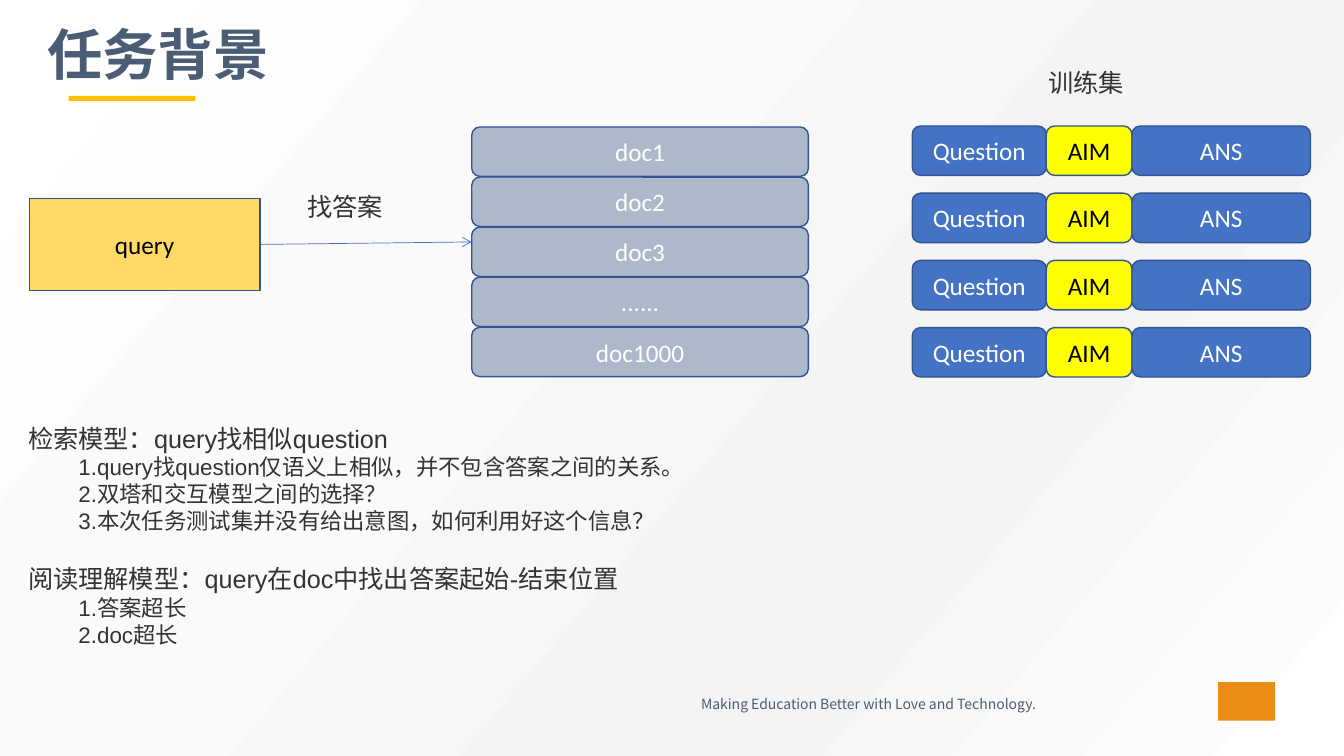
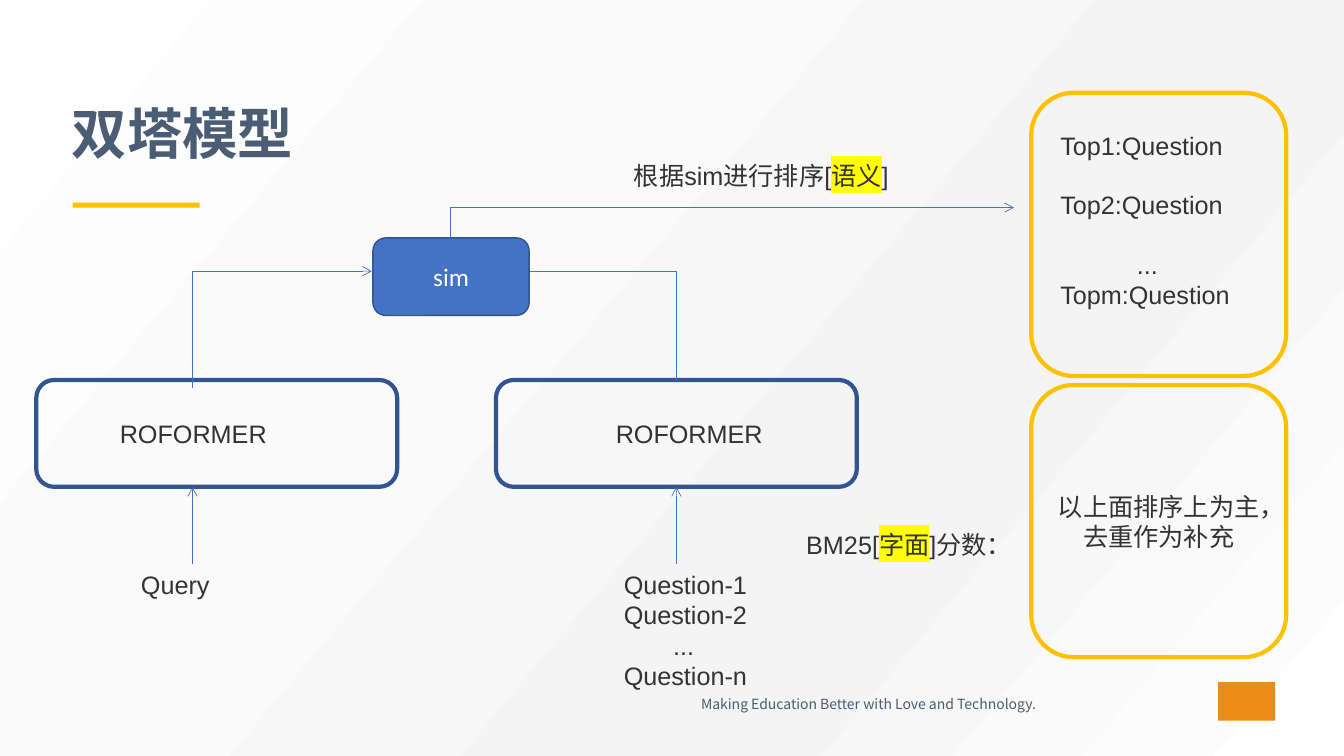
import dataclasses

import lxml.etree
import pptx
import pptx.dml.color
import pptx.enum.dml
import pptx.enum.shapes
import pptx.enum.text
import pptx.oxml.ns
import pptx.util

RGB = pptx.dml.color.RGBColor
SHAPE = pptx.enum.shapes.MSO_SHAPE
CONNECTOR = pptx.enum.shapes.MSO_CONNECTOR
ALIGN = pptx.enum.text.PP_ALIGN
ANCHOR = pptx.enum.text.MSO_ANCHOR
qn = pptx.oxml.ns.qn

SLATE = RGB(0x4B, 0x5D, 0x75)
INK = RGB(0x33, 0x33, 0x33)
BLACK = RGB(0x00, 0x00, 0x00)
WHITE = RGB(0xFF, 0xFF, 0xFF)
BLUE = RGB(0x44, 0x72, 0xC4)
NAVY = RGB(0x32, 0x54, 0x91)
STEEL = RGB(0xAD, 0xB9, 0xCA)
YELLOW = RGB(0xFF, 0xFF, 0x00)
SAND = RGB(0xFF, 0xD9, 0x66)
GOLD = RGB(0xFF, 0xC0, 0x00)
ORANGE = RGB(0xED, 0x8C, 0x14)
BACKDROP = ((0, "FFFFFF"), (32, "FAFAFA"), (67, "F4F4F4"), (100, "FFFFFF"))

BODY_FONT = "Arial"
BOX_FONT = "Calibri"
CJK_FONT = "Noto Sans CJK SC"
COLUMNS, ROWS = 40, 22.5
LABEL_H = 1.2


@dataclasses.dataclass
class Line:
    """One paragraph; text between bars is highlighted, indent is in columns."""
    text: str
    size: float = 18
    indent: float = 0
    before: float = 0


class Deck:
    """Holds the style and the current slide; lengths are grid columns and rows."""

    def __init__(self):
        self.prs = pptx.Presentation()
        self.prs.slide_width = pptx.util.Inches(13.33)
        self.prs.slide_height = pptx.util.Inches(7.5)
        self.layout = self.prs.slide_layouts[5]
        self.slide = None
        self.paint_backdrop()

    def paint_backdrop(self):
        background = self.prs.slide_master.background
        background.fill.gradient()
        background.fill.gradient_angle = 320
        stops = next(self.prs.slide_master.element.iter(qn("a:gsLst")))
        for gs in list(stops):
            stops.remove(gs)
        for percent, color in BACKDROP:
            gs = lxml.etree.SubElement(stops, qn("a:gs"), pos=str(percent * 1000))
            lxml.etree.SubElement(gs, qn("a:srgbClr"), val=color)

    def x(self, columns):
        return int(self.prs.slide_width * columns / COLUMNS)

    def y(self, rows):
        return int(self.prs.slide_height * rows / ROWS)

    def area(self, left, top, width, height):
        return self.x(left), self.y(top), self.x(width), self.y(height)

    def new_slide(self, title, title_at, bar_at):
        first = self.slide is None
        self.slide = self.prs.slides.add_slide(self.layout)
        if first:
            self.add_footer_to_layout()
        sp = self.slide.shapes.title
        sp.left, sp.top, sp.width, sp.height = self.area(*title_at, 35.9, 2.58)
        tf = sp.text_frame
        tf.auto_size = pptx.enum.text.MSO_AUTO_SIZE.NONE
        tf.vertical_anchor = ANCHOR.MIDDLE
        self.set_lines(tf, [Line(title, 39.6)], SLATE, CJK_FONT, bold=True)
        tf.paragraphs[0].line_spacing = 0.9
        self.box(*bar_at, 3.78, 0.15, fill=GOLD, kind=SHAPE.RECTANGLE)

    def add_footer_to_layout(self):
        block = self.box(36.25, 20.3, 1.7, 1.15, fill=ORANGE, kind=SHAPE.RECTANGLE)
        motto = self.text(13.75, 20.55, 17.37, 0.8,
                          Line("Making Education Better with Love and Technology.", 10),
                          color=SLATE, font=CJK_FONT, align=ALIGN.RIGHT)
        for sp in (block, motto):
            self.layout.shapes.element.append(sp.element)

    def set_lines(self, tf, lines, color, font, align=ALIGN.LEFT, bold=False):
        for i, line in enumerate(lines):
            p = tf.add_paragraph() if i else tf.paragraphs[0]
            p.alignment = align
            p.space_before = pptx.util.Pt(line.before)
            if line.indent:
                pPr = p._p.get_or_add_pPr()
                pPr.set("marL", str(self.x(line.indent)))
                pPr.set("indent", "0")
            for j, piece in enumerate(line.text.split("|")):
                r = p.add_run()
                r.text = piece
                r.font.size = pptx.util.Pt(line.size)
                r.font.bold = bold
                r.font.color.rgb = color
                r.font.name = font
                latin = r._r.rPr.find(qn("a:latin"))
                latin.addnext(lxml.etree.Element(qn("a:ea"), typeface=CJK_FONT))
                if j % 2:
                    mark = lxml.etree.Element(qn("a:highlight"))
                    lxml.etree.SubElement(mark, qn("a:srgbClr"), val=str(YELLOW))
                    latin.addprevious(mark)

    def text(self, left, top, width, height, *lines, color=INK, font=BODY_FONT,
             align=ALIGN.LEFT):
        sp = self.slide.shapes.add_textbox(*self.area(left, top, width, height))
        sp.text_frame.word_wrap = True
        self.set_lines(sp.text_frame, lines, color, font, align)
        return sp

    def box(self, left, top, width, height, label=None, fill=None, line=None,
            weight=1, color=WHITE, font=BOX_FONT, kind=SHAPE.ROUNDED_RECTANGLE):
        sp = self.slide.shapes.add_shape(kind, *self.area(left, top, width, height))
        sp.shadow.inherit = False
        if fill is None:
            sp.fill.background()
        else:
            sp.fill.solid()
            sp.fill.fore_color.rgb = fill
        if line is None:
            sp.line.fill.background()
        else:
            sp.line.color.rgb = line
            sp.line.width = pptx.util.Pt(weight)
        if label:
            tf = sp.text_frame
            tf.word_wrap = True
            tf.vertical_anchor = ANCHOR.MIDDLE
            self.set_lines(tf, [Line(label)], color, font, ALIGN.CENTER)
        return sp

    def connector(self, kind, start, end, arrow):
        """arrow is tailEnd for the end point or headEnd for the start point."""
        cxn = self.slide.shapes.add_connector(
            kind, self.x(start[0]), self.y(start[1]), self.x(end[0]), self.y(end[1]))
        cxn.line.color.rgb = BLUE
        cxn.line.width = pptx.util.Pt(0.5)
        spPr = cxn.element.spPr
        lxml.etree.SubElement(spPr.find(qn("a:ln")), qn("a:" + arrow), type="arrow")
        lxml.etree.SubElement(spPr, qn("a:effectLst"))
        return cxn

    def arrow(self, start, end):
        return self.connector(CONNECTOR.STRAIGHT, start, end, "tailEnd")

    def elbow(self, tip, foot):
        """One-bend arrow: level from its tip, then down to its foot."""
        cxn = self.connector(CONNECTOR.ELBOW, tip, foot, "headEnd")
        cxn.element.spPr.find(qn("a:prstGeom")).set("prst", "bentConnector2")
        return cxn


def build_background_slide(deck):
    deck.new_slide("任务背景", (1.1, 0.42), (2.04, 2.85))
    fields = (("Question", 27.15, 3.99, BLUE, WHITE),
              ("AIM", 31.14, 2.55, YELLOW, BLACK),
              ("ANS", 33.69, 5.31, BLUE, WHITE))
    for row in range(4):
        for label, left, width, fill, color in fields:
            deck.box(left, 3.75 + 2 * row, width, 1.47, label, fill, NAVY, color=color)
    for row, label in enumerate(("doc1", "doc2", "doc3", "......", "doc1000")):
        deck.box(14.04, 3.78 + 1.49 * row, 10.02, 1.47, label, STEEL, NAVY)
    query = deck.box(0.87, 5.91, 6.87, 2.73, "query", SAND, NAVY, color=BLACK,
                     kind=SHAPE.RECTANGLE)
    deck.arrow((7.74, 7.27), (14.04, 7.2)).begin_connect(query, 3)
    deck.text(8.85, 5.55, 4.08, LABEL_H, Line("找答案"))
    deck.text(30.9, 1.86, 8.1, LABEL_H, Line("训练集"))

    def point(text):
        return Line(text, 16, indent=1.5)

    deck.text(0.54, 12.45, 34.08, 7.77,
              Line("检索模型：query找相似question"),
              point("1.query找question仅语义上相似，并不包含答案之间的关系。"),
              point("2.双塔和交互模型之间的选择？"),
              point("3.本次任务测试集并没有给出意图，如何利用好这个信息？"),
              Line("阅读理解模型：query在doc中找出答案起始-结束位置", before=21),
              point("1.答案超长"),
              point("2.doc超长"))


def build_two_tower_slide(deck):
    deck.new_slide("双塔模型", (1.83, 2.76), (2.16, 6.03))
    towers = []
    for left, label_left in ((1.08, 3.27), (14.76, 18.03)):
        towers.append(deck.box(left, 11.31, 10.74, 3.18, line=NAVY, weight=3))
        deck.text(label_left, 12.3, 7, LABEL_H, Line("ROFORMER"))

    deck.text(3.9, 16.8, 6, LABEL_H, Line("Query"))
    deck.text(18.27, 16.8, 8, 3.93, Line("Question-1"), Line("Question-2"),
              Line("...", indent=1.47), Line("Question-n"))
    deck.arrow((5.73, 16.8), (5.73, 14.49))
    deck.arrow((20.13, 16.8), (20.13, 14.49)).end_connect(towers[1], 2)

    deck.elbow((11.07, 8.07), (5.73, 11.55))
    deck.elbow((13.11, 8.07), (20.13, 11.31))
    deck.box(11.1, 7.08, 4.65, 2.31, "sim", BLUE, NAVY)
    deck.elbow((30.18, 6.18), (13.41, 7.08))

    deck.text(18.57, 4.62, 10.92, LABEL_H, Line("根据sim进行排序[|语义|]"))
    deck.text(23.7, 15.6, 8.61, LABEL_H, Line("BM25[|字面|]分数："))
    deck.box(30.69, 2.76, 7.59, 8.43, line=GOLD, weight=3)
    deck.text(31.26, 3.72, 6.48, 7.56, Line("Top1:Question"),
              Line("Top2:Question", before=21),
              Line("...", indent=2.28, before=21), Line("Topm:Question"))
    deck.box(30.69, 11.46, 7.59, 8.1, "以上面排序上为主，去重作为补充",
             line=GOLD, weight=3, color=INK, font=BODY_FONT)


def main():
    deck = Deck()
    build_background_slide(deck)
    build_two_tower_slide(deck)
    deck.prs.save("out.pptx")


if __name__ == "__main__":
    main()
